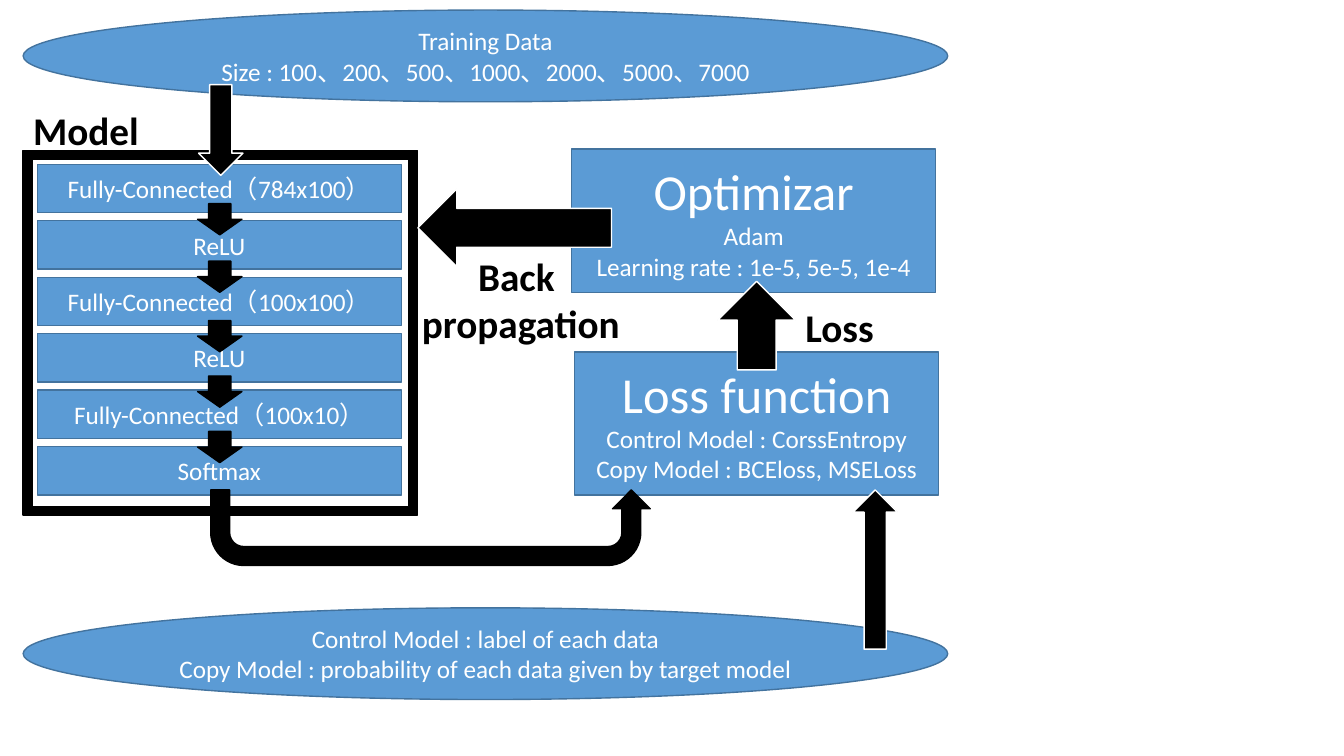
from dataclasses import dataclass

from pptx import Presentation
from pptx.dml.color import RGBColor
from pptx.enum.shapes import MSO_SHAPE
from pptx.enum.text import MSO_ANCHOR, MSO_AUTO_SIZE, PP_ALIGN
from pptx.util import Pt

PX = 9144  # 100 px to the inch


@dataclass(frozen=True)
class Theme:
    font: str = "Calibri"
    blue: str = "5B9BD5"
    edge: str = "43739E"
    black: str = "000000"
    white: str = "FFFFFF"
    body: int = 18
    label: int = 28
    head: int = 36


T = Theme()


def style(item, form):
    for name, value in form.items():
        setattr(item, name, value)


def emu(box):
    return [n * PX for n in box]


def write(frame, lines, color, align, form):
    """Fill a text frame with (text, size) lines."""
    for i, (text, size) in enumerate(lines):
        para = frame.paragraphs[0] if i == 0 else frame.add_paragraph()
        para.alignment = align
        run = para.add_run()
        run.text = text
        style(run.font, {"name": T.font, "size": Pt(size), **form})
        run.font.color.rgb = RGBColor.from_string(color)


def shape(parts, kind, box, fill, edge, turn=0, adjust=()):
    item = parts.add_shape(kind, *emu(box))
    item.shadow.inherit = False
    item.fill.solid()
    item.fill.fore_color.rgb = RGBColor.from_string(fill)
    item.line.color.rgb = RGBColor.from_string(edge)
    style(item.line, {"width": Pt(1)})
    style(item, {"rotation": turn})
    for i, value in enumerate(adjust):
        item.adjustments[i] = value
    return item


def node(parts, kind, box, lines):
    """Blue shape with centred white text."""
    item = shape(parts, kind, box, T.blue, T.edge)
    style(item.text_frame, {"word_wrap": True,
                            "vertical_anchor": MSO_ANCHOR.MIDDLE})
    write(item.text_frame, lines, T.white, PP_ALIGN.CENTER, {})


def label(parts, box, texts, align=PP_ALIGN.LEFT):
    """Bold black caption."""
    frame = parts.add_textbox(*emu(box)).text_frame
    style(frame, {"word_wrap": False,
                  "auto_size": MSO_AUTO_SIZE.SHAPE_TO_FIT_TEXT})
    write(frame, [(t, T.label) for t in texts], T.black, align, {"bold": True})


def arrow(parts, box, turn=0, edge=T.white):
    shape(parts, MSO_SHAPE.DOWN_ARROW, box, T.black, edge, turn)


def data(parts, box, texts):
    """Ellipse that holds a data set."""
    node(parts, MSO_SHAPE.OVAL, box, [(t, T.body) for t in texts])


def step(parts, box, title, notes):
    """Training step: a large title over its settings."""
    lines = [(title, T.head)] + [(n, T.body) for n in notes]
    node(parts, MSO_SHAPE.RECTANGLE, box, lines)


def model(parts, box, layers):
    """Framed stack of layers, with an arrow from each to the next."""
    x, y, w, h = box
    group = parts.add_group_shape().shapes
    for i, text in enumerate(layers):
        node(group, MSO_SHAPE.RECTANGLE, (x + 14, y + 14 + 56 * i, w - 30, 48),
             [(text, T.body)])
    for drop in (53, 110, 169, 224, 279):
        arrow(group, (x + 173, y + drop, 44, 31), edge=T.black)
    shape(group, MSO_SHAPE.FRAME, box, T.black, T.black, adjust=(0.024,))
    label(group, (x, y - 48, 126, 57), ["Model"])


def bend(parts, box):
    """Curved arrow from the model up to the loss."""
    item = shape(parts, MSO_SHAPE.U_TURN_ARROW, box, T.black, T.black, 180,
                 (0.25, 0.25, 0.25, 0.438, 1))
    item.element.spPr.xfrm.set("flipH", "1")


def main():
    deck = Presentation()
    style(deck, {"slide_width": 1333 * PX, "slide_height": 750 * PX})
    parts = deck.slides.add_slide(deck.slide_layouts[6]).shapes

    # Training data and model
    data(parts, (23, 10, 917, 91),
         ["Training Data", "Size : 100、200、500、1000、2000、5000、7000"])
    model(parts, (23, 149, 391, 362),
          ["Fully-Connected（784x100）", "ReLU", "Fully-Connected（100x100）",
           "ReLU", "Fully-Connected（100x10）", "Softmax"])
    arrow(parts, (197, 84, 44, 90))

    # Targets and loss
    data(parts, (23, 603, 917, 91),
         ["Control Model : label of each data",
          "Copy Model : probability of each data given by target model"])
    step(parts, (570, 349, 361, 142), "Loss function",
         ["Control Model : CorssEntropy", "Copy Model : BCEloss, MSELoss"])
    bend(parts, (209, 486, 436, 75))
    arrow(parts, (846, 486, 44, 158), 180)

    # Optimizer and the way back to the model
    step(parts, (567, 148, 361, 142), "Optimizar",
         ["Adam", "Learning rate : 1e-5, 5e-5, 1e-4"])
    arrow(parts, (712, 279, 77, 88), 180)
    label(parts, (789, 296, 89, 57), ["Loss"])
    arrow(parts, (472, 130, 77, 192), 90)
    label(parts, (407, 245, 219, 104), ["Back ", "propagation"],
          PP_ALIGN.CENTER)

    deck.save("out.pptx")


if __name__ == "__main__":
    main()
